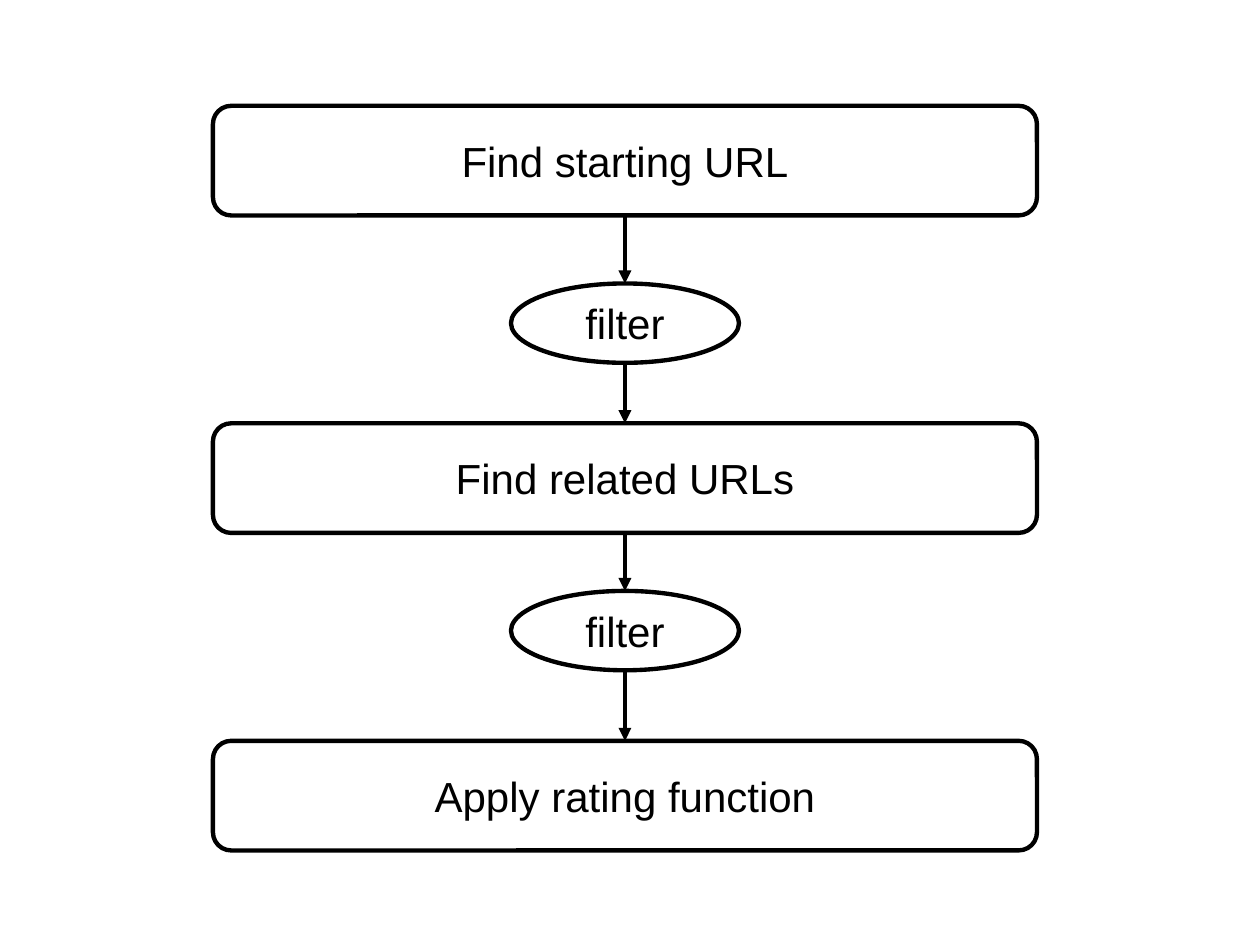
from dataclasses import dataclass

from lxml import etree
from pptx import Presentation
from pptx.dml.color import RGBColor
from pptx.enum.shapes import MSO_CONNECTOR, MSO_SHAPE
from pptx.enum.text import MSO_ANCHOR, PP_ALIGN
from pptx.oxml.ns import qn
from pptx.shapes.autoshape import Shape
from pptx.slide import Slide
from pptx.util import Inches, Pt

ROUNDED = MSO_SHAPE.ROUNDED_RECTANGLE
OVAL = MSO_SHAPE.OVAL
STRAIGHT = MSO_CONNECTOR.STRAIGHT
CENTER = PP_ALIGN.CENTER
MIDDLE = MSO_ANCHOR.MIDDLE

TOP_SITE, BOTTOM_SITE = 0, 2
CENTER_X = 4.96
BLACK, WHITE = "000000", "FFFFFF"
LINE_WIDTH = 2.5


@dataclass(frozen=True)
class Step:
    label: str
    top: float
    width: float = 6.54
    height: float = 0.87
    outline: MSO_SHAPE = ROUNDED


def filter_step(top: float) -> Step:
    return Step("filter", top, width=1.81, height=0.63, outline=OVAL)


FLOW = [
    Step("Find starting URL", top=0.84),
    filter_step(top=2.25),
    Step("Find related URLs", top=3.36),
    filter_step(top=4.69),
    Step("Apply rating function", top=5.88),
]


def color(value: str) -> RGBColor:
    return RGBColor.from_string(value)


def write(shape: Shape, text: str, *, size: float = 24, font: str = "Arial",
          ink: str = BLACK) -> None:
    frame = shape.text_frame
    frame.word_wrap = False
    frame.vertical_anchor = MIDDLE
    paragraph = frame.paragraphs[0]
    paragraph.alignment = CENTER
    run = paragraph.add_run()
    run.text = text
    run.font.size = Pt(size)
    run.font.name = font
    run.font.color.rgb = color(ink)


def draw_step(slide: Slide, step: Step) -> Shape:
    node = slide.shapes.add_shape(
        step.outline, Inches(CENTER_X - step.width / 2), Inches(step.top),
        Inches(step.width), Inches(step.height))
    node.shadow.inherit = False
    node.fill.solid()
    node.fill.fore_color.rgb = color(WHITE)
    node.line.color.rgb = color(BLACK)
    node.line.width = Pt(LINE_WIDTH)
    write(node, step.label)
    return node


def draw_arrow(slide: Slide, source: Shape, target: Shape) -> None:
    """Point from the bottom of source to the top of target."""
    x = Inches(CENTER_X)
    arrow = slide.shapes.add_connector(
        STRAIGHT, x, source.top + source.height, x, target.top)
    # An oval numbers its sites differently, so only its top is joined.
    if source.auto_shape_type == ROUNDED:
        arrow.begin_connect(source, BOTTOM_SITE)
    arrow.end_connect(target, TOP_SITE)
    arrow.line.color.rgb = color(BLACK)
    arrow.line.width = Pt(LINE_WIDTH)
    properties = arrow._element.spPr
    etree.SubElement(properties.find(qn("a:ln")), qn("a:tailEnd"), type="triangle")
    etree.SubElement(properties, qn("a:effectLst"))


def main() -> None:
    deck = Presentation()
    deck.slide_width, deck.slide_height = Inches(10), Inches(7.5)
    slide = deck.slides.add_slide(deck.slide_layouts[6])
    nodes = [draw_step(slide, step) for step in FLOW]
    for source, target in zip(nodes, nodes[1:]):
        draw_arrow(slide, source, target)
    deck.save("out.pptx")


if __name__ == "__main__":
    main()
